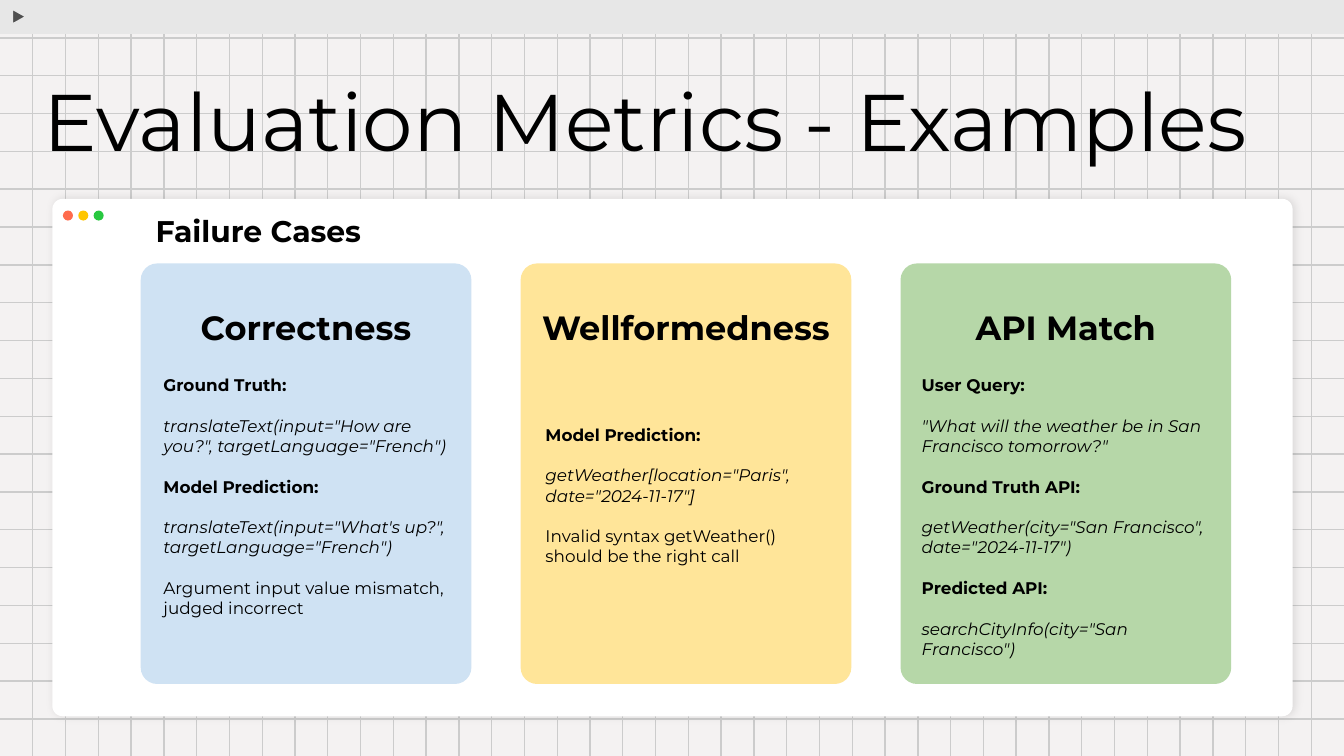
from lxml import etree
from pptx import Presentation
from pptx.dml.color import RGBColor
from pptx.enum.shapes import MSO_CONNECTOR, MSO_SHAPE
from pptx.enum.text import MSO_AUTO_SIZE, PP_ALIGN
from pptx.oxml import parse_xml
from pptx.oxml.ns import nsdecls, qn
from pptx.util import Cm, Pt

RECT = MSO_SHAPE.RECTANGLE
ROUND = MSO_SHAPE.ROUNDED_RECTANGLE
OVAL = MSO_SHAPE.OVAL
WEDGE = MSO_SHAPE.ISOSCELES_TRIANGLE
LINE = MSO_CONNECTOR.STRAIGHT
GROW = MSO_AUTO_SIZE.SHAPE_TO_FIT_TEXT
LEFT, MID = PP_ALIGN.LEFT, PP_ALIGN.CENTER

FACE = "Montserrat"
WIDE, HIGH = 25.4, 14.29
ROWS, LOW = 19, 13.59  # count of level grid lines, height of the lowest
COLS = 40
HEAD, CODE, NOTE, MORE = "head", "code", "note", "more"

# heading, fill, text box (left, top, width, height), lines
CARDS = [
    ("Correctness", "CFE2F3", (2.84, 6.83, 5.94, 5.51), [
        (HEAD, "Ground Truth:"),
        (CODE, 'translateText(input="How are you?", targetLanguage="French")'),
        (HEAD, "Model Prediction:"),
        (CODE, 'translateText(input="What\'s up?", targetLanguage="French")'),
        (NOTE, "Argument input value mismatch,"),
        (MORE, "judged incorrect"),
    ]),
    ("Wellformedness", "FFE599", (10.06, 7.77, 5.82, 3.94), [
        (HEAD, "Model Prediction:"),
        (CODE, 'getWeather[location="Paris", date="2024-11-17"]'),
        (NOTE, "Invalid syntax getWeather() should be the right call"),
    ]),
    ("API Match", "B6D7A8", (17.17, 6.83, 5.99, 7.01), [
        (HEAD, "User Query:"),
        (CODE, '"What will the weather be in San Francisco tomorrow?"'),
        (HEAD, "Ground Truth API:"),
        (CODE, 'getWeather(city="San Francisco", date="2024-11-17")'),
        (HEAD, "Predicted API:"),
        (CODE, 'searchCityInfo(city="San Francisco")'),
    ]),
]


def rgb(code):
    return RGBColor.from_string(code)


def add_line(slide, x1, y1, x2, y2):
    line = slide.shapes.add_connector(LINE, Cm(x1), Cm(y1), Cm(x2), Cm(y2))
    line.line.color.rgb = rgb("CCCCCC")
    line.line.width = Pt(0.75)
    etree.SubElement(line._element.spPr, qn("a:effectLst"))


def add_form(slide, kind, box, fill, curve=None):
    form = slide.shapes.add_shape(kind, *map(Cm, box))
    form.shadow.inherit = False
    form.fill.solid()
    form.fill.fore_color.rgb = rgb(fill)
    form.line.fill.background()
    if curve is not None:
        form.adjustments[0] = curve
    return form


def add_glow(form):
    glow = parse_xml(
        f'<a:outerShdw {nsdecls("a")} blurRad="{Pt(4.5)}" dist="{Pt(1.5)}" dir="0">'
        '<a:srgbClr val="000000"><a:alpha val="11000"/></a:srgbClr></a:outerShdw>')
    form._element.spPr.find(qn("a:effectLst")).append(glow)


def style(par, size, bold=False, slant=False, align=LEFT):
    par.alignment = align
    for run in par.runs:
        font = run.font
        font.name, font.size = FACE, Pt(size)
        font.bold, font.italic = bold, slant
        font.color.rgb = rgb("000000")


def add_box(slide, box):
    frame = slide.shapes.add_textbox(*map(Cm, box)).text_frame
    frame.word_wrap = True
    frame.auto_size = GROW
    frame.margin_left = frame.margin_right = Cm(0.25)
    frame.margin_top = frame.margin_bottom = Cm(0.25)
    return frame


def add_label(slide, box, text, size, bold=True, align=LEFT):
    frame = add_box(slide, box)
    frame.text = text
    par = frame.paragraphs[0]
    style(par, size, bold, align=align)
    return par


def add_body(slide, box, lines):
    frame = add_box(slide, box)
    for i, (kind, text) in enumerate(lines):
        par = frame.add_paragraph() if i else frame.paragraphs[0]
        par.text = text
        style(par, 9, kind == HEAD, kind == CODE)
        if i and kind != MORE:
            par.space_before = Pt(11)


def add_grid(slide):
    for i in range(1, ROWS + 1):
        y = LOW / ROWS * i
        add_line(slide, 0, y, WIDE, y)
    for i in range(1, COLS + 1):
        x = WIDE / (COLS + 1) * i
        add_line(slide, x, 0, x, HIGH)


def add_card(slide, i, name, fill, box, lines):
    x = 2.66 + 7.18 * i
    add_form(slide, ROUND, (x, 4.98, 6.25, 7.95), fill, 0.05)
    add_label(slide, (x, 5.56, 6.25, 1.27), name, 18, align=MID)
    add_body(slide, box, lines)


def main():
    deck = Presentation()
    deck.slide_width, deck.slide_height = Cm(WIDE), Cm(HIGH)
    slide = deck.slides.add_slide(deck.slide_layouts[6])
    slide.background.fill.solid()
    slide.background.fill.fore_color.rgb = rgb("F4F2F2")

    # Grid and top bar
    add_grid(slide)
    add_form(slide, RECT, (0, 0, WIDE, 0.64), "E7E7E7")
    play = add_form(slide, WEDGE, (0.22, 0.19, 0.28, 0.25), "4F4F4F")
    play.rotation = 90
    play.line.color.rgb = rgb("E7E7E7")
    play.line.width = Pt(0.75)

    # Window with its three dots
    pane = add_form(slide, ROUND, (0.99, 3.76, 23.44, 9.78), "FFFFFF", 0.02)
    add_glow(pane)
    for i, fill in enumerate(("FF6B4D", "FFC600", "28C840")):
        add_form(slide, OVAL, (1.19 + 0.29 * i, 3.98, 0.19, 0.19), fill)

    # Headings
    title = add_label(slide, (0.58, 1.3, 24.08, 2.16),
                      "Evaluation Metrics - Examples", 43, False)
    title.line_spacing = 0.9
    add_label(slide, (2.69, 3.78, 20.55, 0.97), "Failure Cases", 16)

    # Cards
    for i, card in enumerate(CARDS):
        add_card(slide, i, *card)

    deck.save("out.pptx")


if __name__ == "__main__":
    main()
